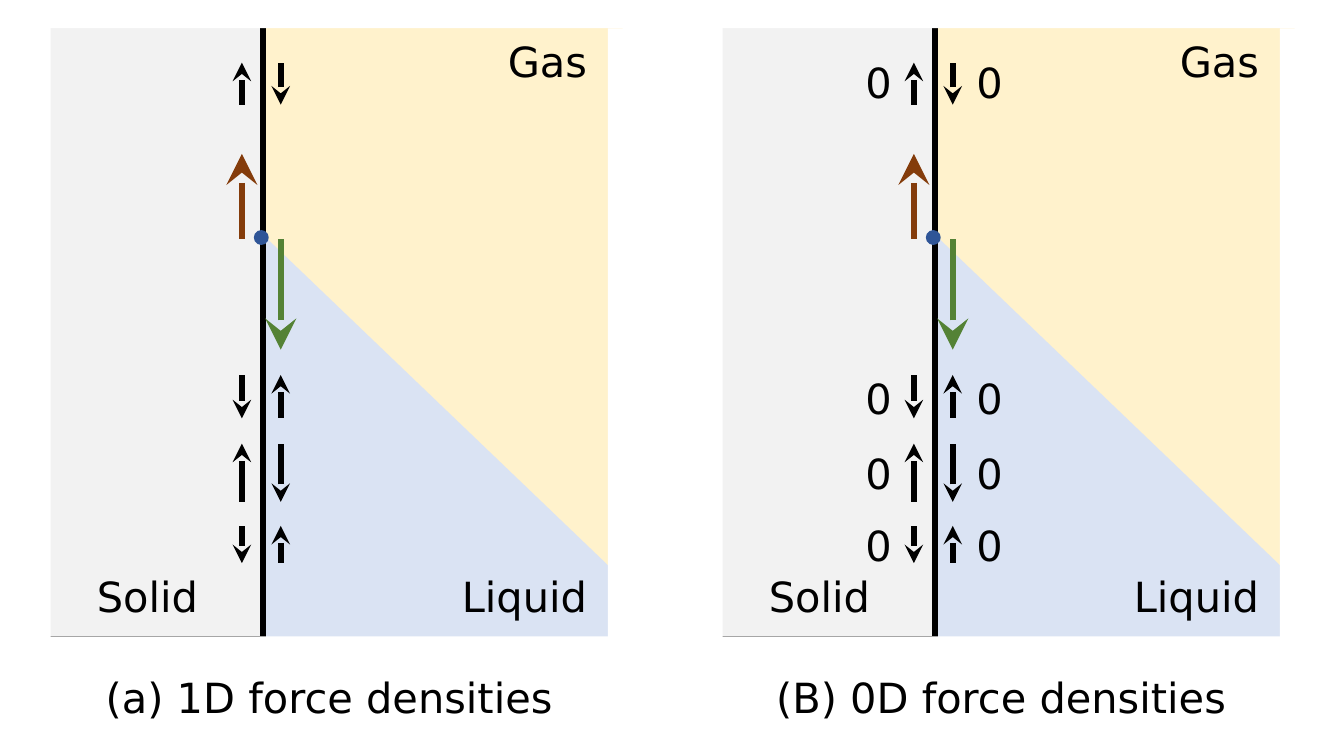
from dataclasses import dataclass

from lxml.etree import SubElement
from pptx import Presentation
from pptx.dml.color import RGBColor
from pptx.enum.shapes import MSO_CONNECTOR, MSO_SHAPE
from pptx.enum.text import MSO_AUTO_SIZE, PP_ALIGN
from pptx.oxml.ns import qn
from pptx.slide import Slide
from pptx.util import Inches, Pt

COLORS = {
    "gas": "FFF2CC",
    "liquid": "DAE3F3",
    "solid": "F2F2F2",
    "mask": "FFFFFF",
    "ink": "000000",
    "contact": "2F5597",
    "liquid_force": "548235",
    "solid_force": "843C0B",
}
FONT = "DejaVu Sans"
LINE_WIDTH = Pt(3)
TEXT_HEIGHT = 0.44
SOLID_SIDE, FLUID_SIDE = 1.62, 1.88


@dataclass(frozen=True)
class Region:
    preset: MSO_SHAPE
    left: float
    top: float
    width: float
    height: float
    color: str
    outlined: bool = False


@dataclass(frozen=True)
class Force:
    x: float
    tip: float
    tail: float
    color: str = "ink"
    head_size: str = "med"


@dataclass(frozen=True)
class Label:
    text: str
    left: float
    top: float
    width: float
    align: PP_ALIGN = PP_ALIGN.LEFT


@dataclass(frozen=True)
class ForcePair:
    top: float
    bottom: float
    solid_up: bool
    zero_top: float


@dataclass(frozen=True)
class Panel:
    left: float
    caption: str
    shows_zeros: bool


PHASES = [
    Region(MSO_SHAPE.RECTANGLE, 1.69, 0.1, 2.48, 3.8, "gas"),
    Region(MSO_SHAPE.ISOSCELES_TRIANGLE, 1.75, 1.56, 2.84, 2.72, "liquid"),
    Region(MSO_SHAPE.RECTANGLE, 0.3, 0.1, 1.46, 4.18, "solid", True),
]
MASKS = [
    Region(MSO_SHAPE.RECTANGLE, 0.17, -0.07, 4.4, 0.26, "mask"),
    Region(MSO_SHAPE.RECTANGLE, 4.07, 0.19, 0.61, 4.2, "mask"),
    Region(MSO_SHAPE.RECTANGLE, 0.11, -0.06, 0.23, 4.55, "mask"),
    Region(MSO_SHAPE.RECTANGLE, 0.3, 4.26, 4.4, 0.13, "mask"),
]
CONTACT_POINT = Region(MSO_SHAPE.OVAL, 1.7, 1.54, 0.1, 0.1, "contact")
CONTACT_FORCES = [
    Force(FLUID_SIDE, 2.34, 1.6, "liquid_force", "lg"),
    Force(SOLID_SIDE, 1.03, 1.6, "solid_force", "lg"),
]
PHASE_LABELS = [
    Label("Liquid", 2.71, 3.77, 1.32, PP_ALIGN.RIGHT),
    Label("Gas", 2.71, 0.19, 1.32, PP_ALIGN.RIGHT),
    Label("Solid", 0.55, 3.77, 1.33),
]
FORCE_PAIRS = [
    ForcePair(0.42, 0.7, True, 0.33),
    ForcePair(2.51, 2.8, False, 2.45),
    ForcePair(2.97, 3.36, True, 2.95),
    ForcePair(3.52, 3.77, False, 3.43),
]
PANELS = [
    Panel(0, "(a) 1D force densities", False),
    Panel(4.5, "(B) 0D force densities", True),
]


def rgb(color: str) -> RGBColor:
    return RGBColor.from_string(COLORS[color])


def draw_region(slide: Slide, origin: float, region: Region) -> None:
    shape = slide.shapes.add_shape(
        region.preset,
        Inches(origin + region.left),
        Inches(region.top),
        Inches(region.width),
        Inches(region.height),
    )
    shape.shadow.inherit = False
    if region.preset == MSO_SHAPE.ISOSCELES_TRIANGLE:
        shape.adjustments[0] = 0
    shape.fill.solid()
    shape.fill.fore_color.rgb = rgb(region.color)
    if region.outlined:
        shape.line.color.rgb = rgb("ink")
        shape.line.width = LINE_WIDTH
    else:
        shape.line.fill.background()


def draw_force(slide: Slide, origin: float, force: Force) -> None:
    x = Inches(origin + force.x)
    arrow = slide.shapes.add_connector(
        MSO_CONNECTOR.STRAIGHT, x, Inches(force.tip), x, Inches(force.tail)
    )
    arrow.line.color.rgb = rgb(force.color)
    arrow.line.width = LINE_WIDTH
    properties = arrow.element.spPr
    SubElement(
        properties.find(qn("a:ln")),
        qn("a:headEnd"),
        type="stealth",
        w=force.head_size,
        len=force.head_size,
    )
    SubElement(properties, qn("a:effectLst"))


def draw_label(slide: Slide, origin: float, label: Label) -> None:
    box = slide.shapes.add_textbox(
        Inches(origin + label.left),
        Inches(label.top),
        Inches(label.width),
        Inches(TEXT_HEIGHT),
    )
    frame = box.text_frame
    frame.word_wrap = True
    frame.auto_size = MSO_AUTO_SIZE.SHAPE_TO_FIT_TEXT
    frame.text = label.text
    paragraph = frame.paragraphs[0]
    paragraph.alignment = label.align
    font = paragraph.runs[0].font
    font.name = FONT
    font.size = Pt(20)
    font.color.rgb = rgb("ink")


def draw_force_pair(slide: Slide, origin: float, pair: ForcePair) -> None:
    for x, up in ((SOLID_SIDE, pair.solid_up), (FLUID_SIDE, not pair.solid_up)):
        tip, tail = (pair.top, pair.bottom) if up else (pair.bottom, pair.top)
        draw_force(slide, origin, Force(x, tip, tail))


def draw_panel(slide: Slide, panel: Panel) -> None:
    for phase in PHASES:
        draw_region(slide, panel.left, phase)
    for force in CONTACT_FORCES:
        draw_force(slide, panel.left, force)
    for label in PHASE_LABELS:
        draw_label(slide, panel.left, label)
    for mask in MASKS:
        draw_region(slide, panel.left, mask)
    caption = Label(panel.caption, 0.33, 4.45, 3.75, PP_ALIGN.CENTER)
    draw_label(slide, panel.left, caption)
    for pair in FORCE_PAIRS:
        draw_force_pair(slide, panel.left, pair)
    draw_region(slide, panel.left, CONTACT_POINT)
    if panel.shows_zeros:
        for pair in FORCE_PAIRS:
            for left, align in ((0.86, PP_ALIGN.RIGHT), (1.94, PP_ALIGN.LEFT)):
                zero = Label("0", left, pair.zero_top, 0.71, align)
                draw_label(slide, panel.left, zero)


def main() -> None:
    presentation = Presentation()
    presentation.slide_width = Inches(9)
    presentation.slide_height = Inches(5)
    slide = presentation.slides.add_slide(presentation.slide_layouts[6])
    for panel in PANELS:
        draw_panel(slide, panel)
    presentation.save("out.pptx")


if __name__ == "__main__":
    main()
